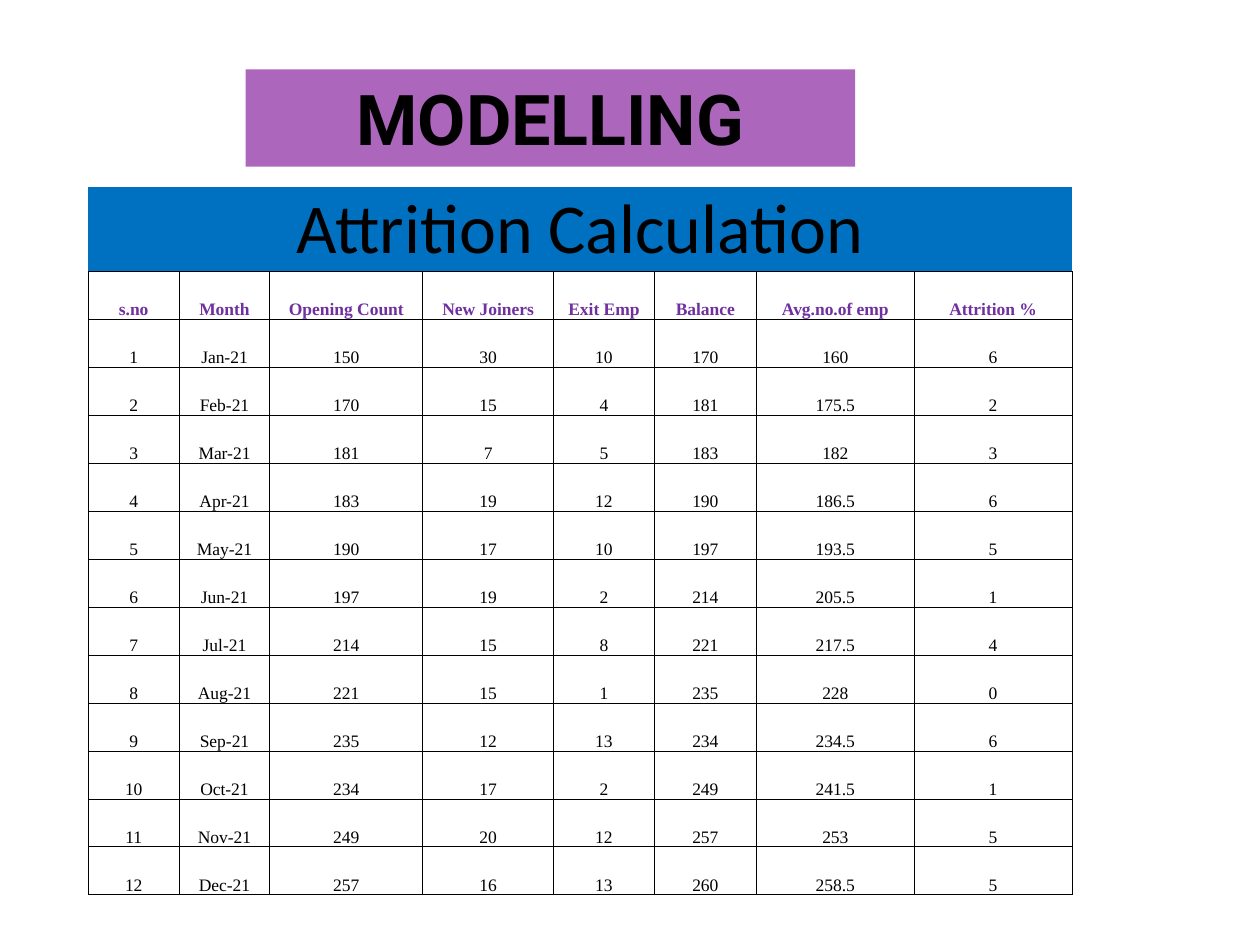
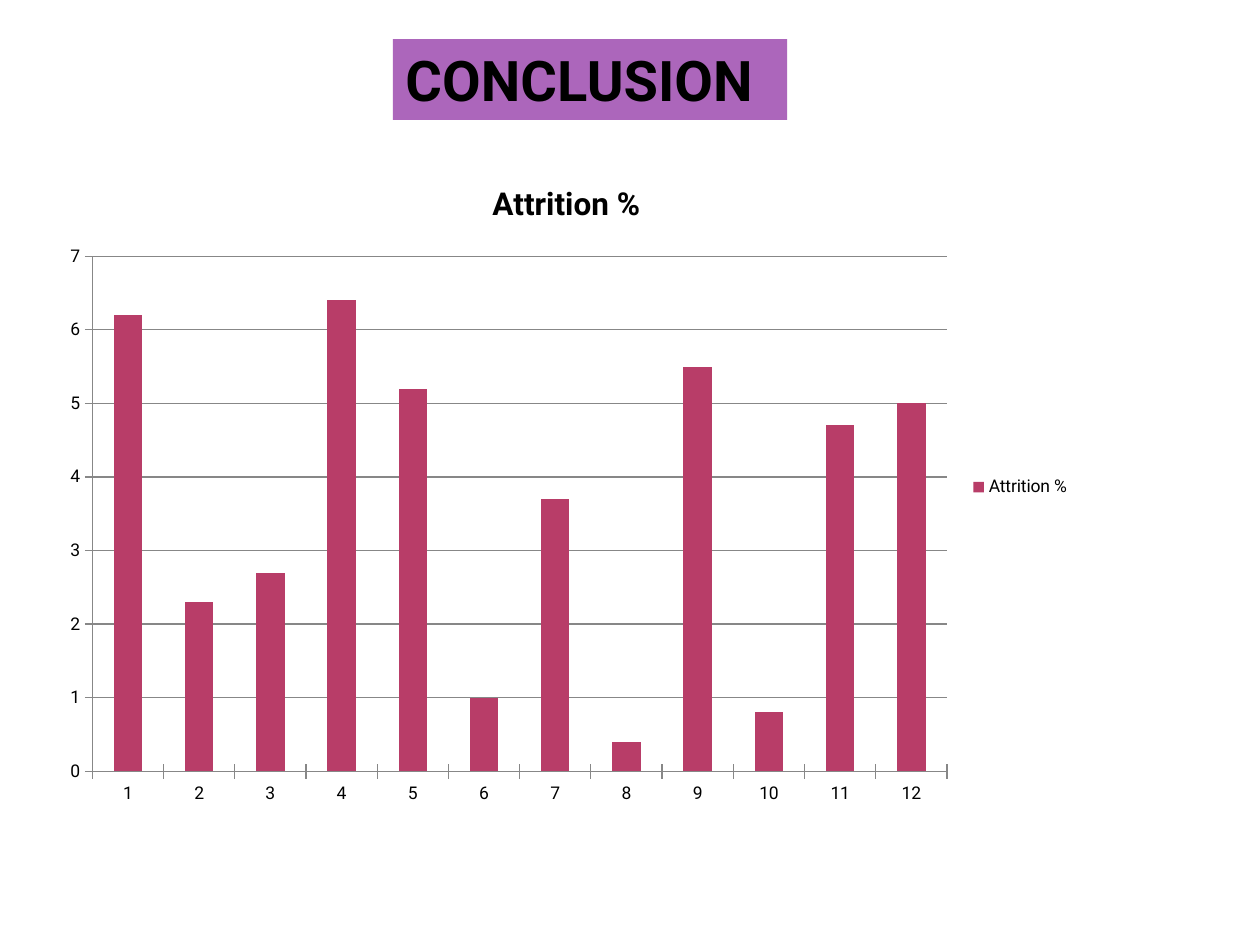
from dataclasses import dataclass

from lxml import etree
from pptx import Presentation
from pptx.chart.data import CategoryChartData
from pptx.dml.color import RGBColor
from pptx.enum.chart import XL_CHART_TYPE, XL_LEGEND_POSITION, XL_TICK_MARK
from pptx.enum.text import MSO_ANCHOR, MSO_AUTO_SIZE, PP_ALIGN
from pptx.oxml.ns import qn
from pptx.util import Cm, Pt

COLUMN = XL_CHART_TYPE.COLUMN_CLUSTERED
LEGEND_RIGHT = XL_LEGEND_POSITION.RIGHT
TICK_CROSS = XL_TICK_MARK.CROSS
TOP, MIDDLE, BOTTOM = MSO_ANCHOR.TOP, MSO_ANCHOR.MIDDLE, MSO_ANCHOR.BOTTOM
NO_AUTOFIT = MSO_AUTO_SIZE.NONE
LEFT, CENTER = PP_ALIGN.LEFT, PP_ALIGN.CENTER
TITLE_ONLY = 5


@dataclass(frozen=True)
class Theme:
    title_fill: str = "AC66BB"
    banner_fill: str = "0070C0"
    header_text: str = "7030A0"
    text: str = "000000"
    bar: str = "B83D68"
    axis: str = "878787"
    title_font: str = "Roboto"
    banner_font: str = "Calibri"
    table_font: str = "Times New Roman"
    banner_size: int = 40
    body_size: int = 10
    chart_title_size: int = 18
    border_width: float = 0.5
    axis_width: float = 0.75


THEME = Theme()

HEADERS = ["s.no", "Month", "Opening Count", "New Joiners", "Exit Emp",
           "Balance", "Avg.no.of emp", "Attrition %"]
COLUMN_WIDTHS = [1.83, 1.83, 3.08, 2.64, 2.03, 2.06, 3.18, 3.18]
BANNER_HEIGHT = 1.71
GRID_HEIGHT = 12.56
FIRST_OPENING = 150
MONTHS = ["Jan", "Feb", "Mar", "Apr", "May", "Jun",
          "Jul", "Aug", "Sep", "Oct", "Nov", "Dec"]
JOINERS = [30, 15, 7, 19, 17, 19, 15, 15, 12, 17, 20, 16]
EXITS = [10, 4, 5, 12, 10, 2, 8, 1, 13, 2, 12, 13]


def rgb(value):
    return RGBColor.from_string(value)


def style_font(font, name, size, color=THEME.text, bold=False):
    font.name = name
    font.size = Pt(size)
    font.bold = bold
    font.color.rgb = rgb(color)


def attrition_rows():
    rows = []
    opening = FIRST_OPENING
    for number, (month, joined, left) in enumerate(zip(MONTHS, JOINERS, EXITS), 1):
        balance = opening + joined - left
        average = (opening + balance) / 2
        rows.append([number, f"{month}-21", opening, joined, left,
                     balance, average, 100 * left / average])
        opening = balance
    return rows


def add_titled_slide(prs, title, box, size, align):
    slide = prs.slides.add_slide(prs.slide_layouts[TITLE_ONLY])
    sp = slide.shapes.title
    sp.left, sp.top, sp.width, sp.height = map(Cm, box)
    sp.fill.solid()
    sp.fill.fore_color.rgb = rgb(THEME.title_fill)
    tf = sp.text_frame
    tf.text = title
    tf.word_wrap = True
    tf.auto_size = NO_AUTOFIT
    tf.vertical_anchor = TOP
    p = tf.paragraphs[0]
    p.alignment = align
    style_font(p.runs[0].font, THEME.title_font, size, bold=True)
    return slide


def set_borders(cell, bordered_sides):
    tc_pr = cell._tc.get_or_add_tcPr()
    for index, side in enumerate("LRTB"):
        ln = etree.Element(qn(f"a:ln{side}"), w=str(Pt(THEME.border_width)))
        if side in bordered_sides:
            fill = etree.SubElement(ln, qn("a:solidFill"))
            etree.SubElement(fill, qn("a:srgbClr"), val=THEME.text)
        else:
            etree.SubElement(ln, qn("a:noFill"))
        tc_pr.insert(index, ln)


def fill_cell(cell, text, font_name, size, color=THEME.text, bold=False,
              anchor=BOTTOM, fill=None, borders="LRTB"):
    cell.margin_left = cell.margin_right = cell.margin_top = cell.margin_bottom = 0
    cell.vertical_anchor = anchor
    if fill:
        cell.fill.solid()
        cell.fill.fore_color.rgb = rgb(fill)
    else:
        cell.fill.background()
    set_borders(cell, borders)
    p = cell.text_frame.paragraphs[0]
    p.text = text
    p.alignment = CENTER
    style_font(p.runs[0].font, font_name, size, color, bold)


def format_row(row):
    *counts, average, attrition = row
    return [str(value) for value in counts] + [f"{average:g}", f"{attrition:.0f}"]


def add_attrition_table(slide, rows):
    count = len(rows) + 2
    frame = slide.shapes.add_table(count, len(HEADERS), Cm(1.78), Cm(3.76),
                                   Cm(sum(COLUMN_WIDTHS)),
                                   Cm(BANNER_HEIGHT + GRID_HEIGHT))
    table = frame.table
    table.first_row = table.horz_banding = False
    for column, width in zip(table.columns, COLUMN_WIDTHS):
        column.width = Cm(width)
    for row in table.rows:
        row.height = Cm(GRID_HEIGHT / (count - 1))
    table.rows[0].height = Cm(BANNER_HEIGHT)

    banner = table.cell(0, 0)
    banner.merge(table.cell(0, len(HEADERS) - 1))
    fill_cell(banner, "Attrition Calculation", THEME.banner_font, THEME.banner_size,
              anchor=MIDDLE, fill=THEME.banner_fill, borders="B")
    for c, header in enumerate(HEADERS):
        fill_cell(table.cell(1, c), header, THEME.table_font, THEME.body_size,
                  THEME.header_text, bold=True)
    for r, row in enumerate(rows, 2):
        for c, text in enumerate(format_row(row)):
            fill_cell(table.cell(r, c), text, THEME.table_font, THEME.body_size)


def style_line(line):
    line.color.rgb = rgb(THEME.axis)
    line.width = Pt(THEME.axis_width)


def add_attrition_chart(slide, rows):
    name = HEADERS[-1]
    data = CategoryChartData(number_format="0")
    data.categories = [str(row[0]) for row in rows]
    data.add_series(name, [round(row[-1], 1) for row in rows])
    frame = slide.shapes.add_chart(COLUMN, Cm(1), Cm(3.18), Cm(20.83), Cm(13.28), data)
    chart = frame.chart
    style_font(chart.font, THEME.title_font, THEME.body_size)

    chart.has_title = True
    tf = chart.chart_title.text_frame
    tf.text = name
    style_font(tf.paragraphs[0].runs[0].font, THEME.title_font,
               THEME.chart_title_size, bold=True)
    chart.chart_title.include_in_layout = False
    chart.has_legend = True
    chart.legend.position = LEGEND_RIGHT
    chart.legend.include_in_layout = False

    plot = chart.plots[0]
    plot.gap_width = 150
    plot.vary_by_categories = False
    bars = plot.series[0].format.fill
    bars.solid()
    bars.fore_color.rgb = rgb(THEME.bar)

    for axis in (chart.category_axis, chart.value_axis):
        axis.major_tick_mark = TICK_CROSS
        style_line(axis.format.line)
    values = chart.value_axis
    values.minimum_scale, values.maximum_scale, values.major_unit = 0, 7, 1
    values.tick_labels.number_format = "0"
    values.tick_labels.number_format_is_linked = False
    values.has_major_gridlines = True
    style_line(values.major_gridlines.format.line)


def main():
    prs = Presentation()
    prs.slide_width, prs.slide_height = Cm(25.4), Cm(19.05)
    rows = attrition_rows()
    modelling = add_titled_slide(prs, "MODELLING", (4.95, 1.4, 12.29, 1.96), 40, CENTER)
    add_attrition_table(modelling, rows)
    conclusion = add_titled_slide(prs, "CONCLUSION", (7.92, 0.79, 7.95, 1.63), 32, LEFT)
    add_attrition_chart(conclusion, rows)
    prs.save("out.pptx")


if __name__ == "__main__":
    main()
